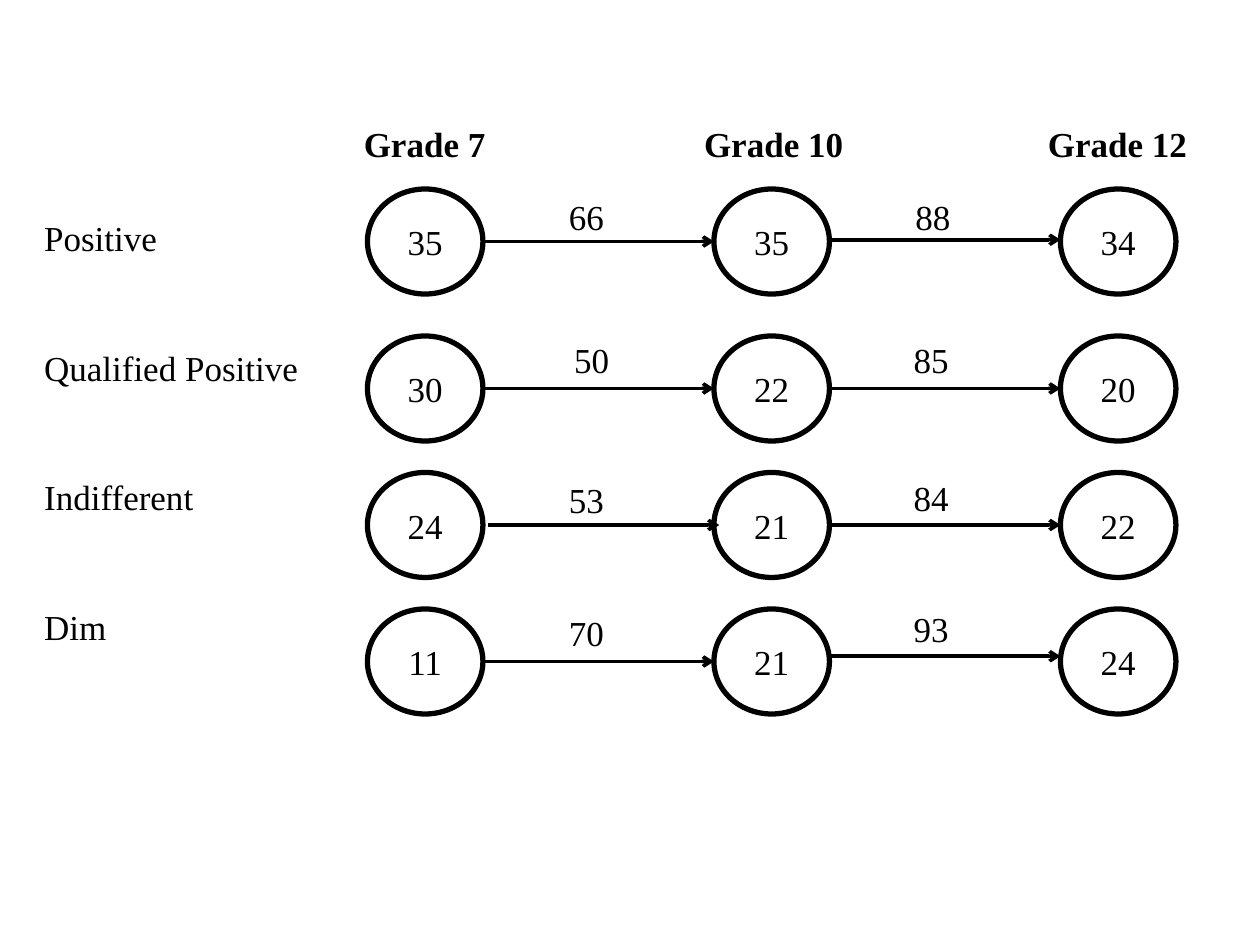
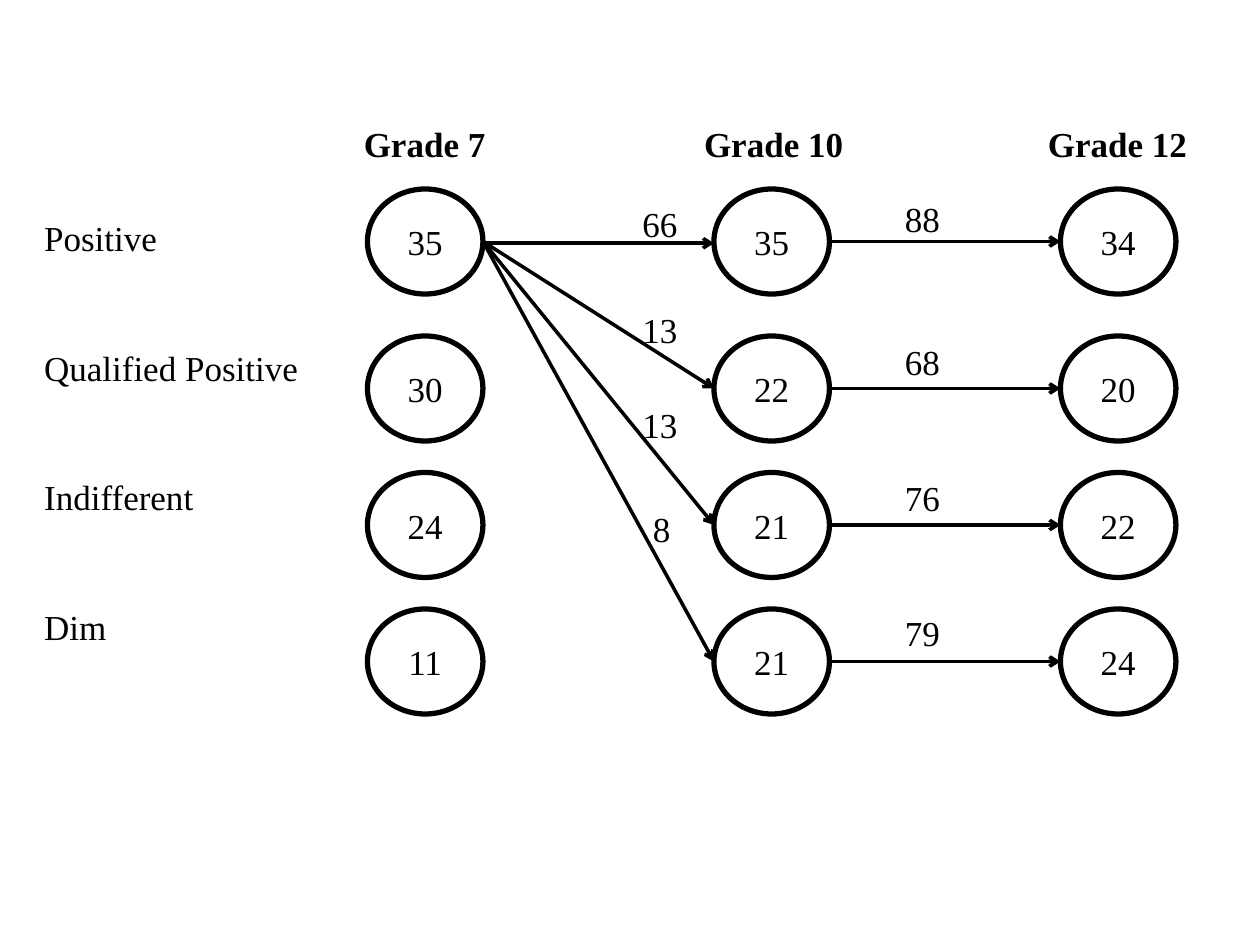
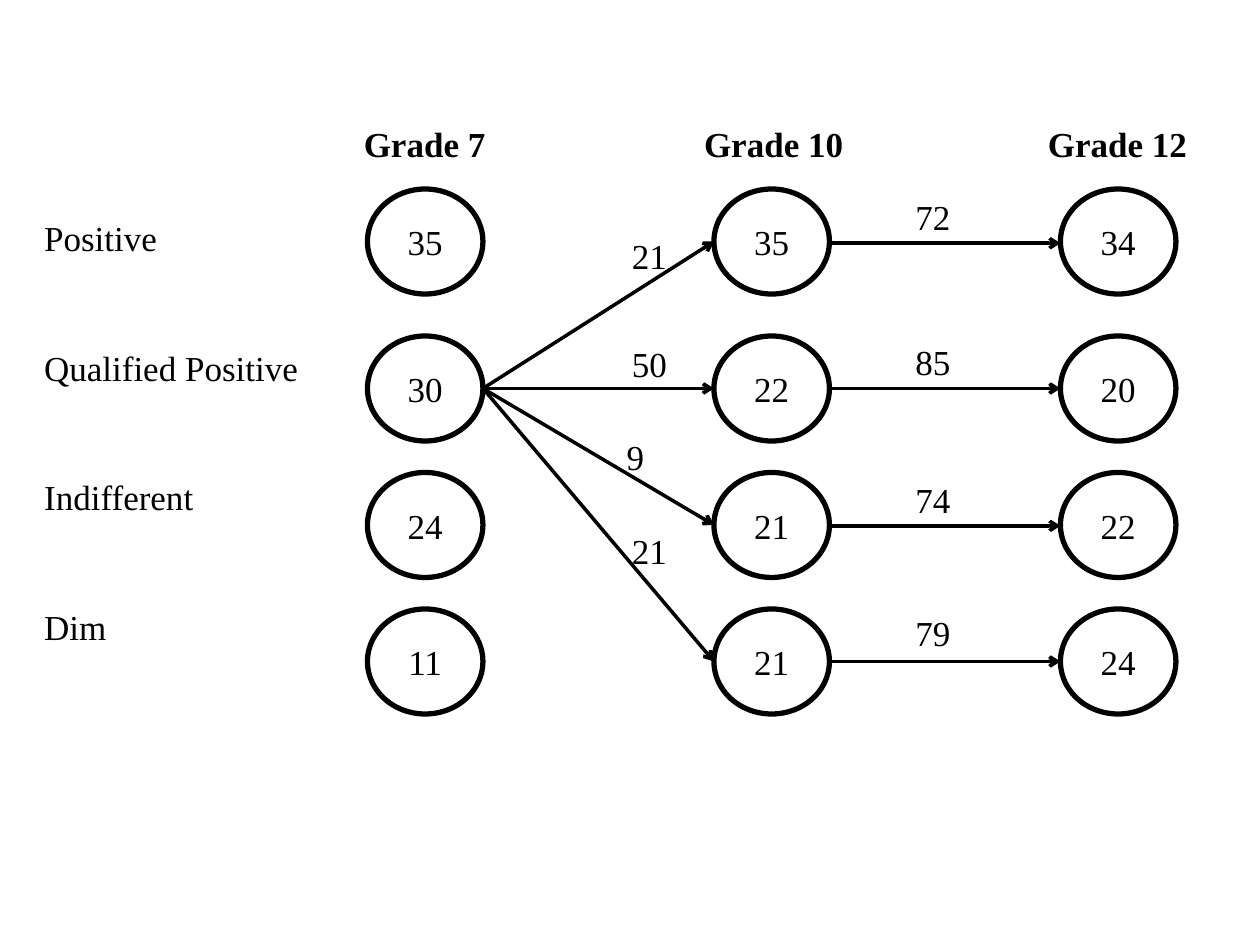
from lxml import etree
from pptx import Presentation
from pptx.dml.color import RGBColor
from pptx.enum import shapes, text
from pptx.oxml import ns
from pptx.util import Pt

INK = "000000"
FONT, FONT_SIZE = "Times New Roman", 20

GRADES = {1: "Grade 7", 3: "Grade 10", 5: "Grade 12"}  # table column: heading
ATTITUDES = ["Positive", "Qualified Positive", "Indifferent", "Dim"]
SHARES = [(35, 30, 24, 11), (35, 22, 21, 21), (34, 20, 22, 24)]  # by grade

# One slide each: (grade, from row, to row, percent, label left, label top, arrow dx, arrow dy)
SLIDES = [
    [
        (0, 0, 0, 66, 318, 108, 0, 0),
        (0, 1, 1, 50, 321, 190, 0, 0),
        (0, 2, 2, 53, 318, 270, 3, 0),
        (0, 3, 3, 70, 318, 346, 0, 0),
        (1, 0, 0, 88, 516, 108, 0, -1),
        (1, 1, 1, 85, 515, 190, 0, 0),
        (1, 2, 2, 84, 515, 268.5, 0, 0),
        (1, 3, 3, 93, 515, 343.5, 0, -3),
    ],
    [
        (0, 0, 0, 66, 360, 112, 0, 1),
        (0, 0, 1, 13, 360, 173, 0, 0),
        (0, 0, 2, 13, 360, 227, 0, 0),
        (0, 0, 3, 8, 366, 286.5, 0, 0),
        (1, 0, 0, 88, 510, 109.5, 0, 0),
        (1, 1, 1, 68, 510, 191, 0, 0),
        (1, 2, 2, 76, 510, 268.5, 0, 0),
        (1, 3, 3, 79, 510, 346, 0, 0),
    ],
    [
        (0, 1, 0, 21, 354, 130.5, 0, 0),
        (0, 1, 1, 50, 354, 192, 0, 0),
        (0, 1, 2, 9, 351, 245.5, 0, 0),
        (0, 1, 3, 21, 354, 299, 0, 0),
        (1, 0, 0, 72, 516, 108, 0, 1),
        (1, 1, 1, 85, 516, 191, 0, 0),
        (1, 2, 2, 74, 516, 270, 0, 0.5),
        (1, 3, 3, 79, 516, 346, 0, 0),
    ],
]

TABLE_LEFT, TABLE_TOP = 18, 68.4
COLUMN_WIDTHS = [176.4, 96.5, 96.5, 109.4, 72.7, 138.2]
HEADING_HEIGHT, ROW_HEIGHT = 30, 74
ATTITUDE_INSET = 27.5
CIRCLE_LEFT, CIRCLE_PITCH = 210, 198
CIRCLE_TOPS = [108, 192, 270, 348]
CIRCLE_WIDTH, CIRCLE_HEIGHT = 66, 60
LABEL_WIDTH, LABEL_HEIGHT = 42, 31.5


def color(hex_value):
    return RGBColor.from_string(hex_value)


def write(frame, content, bold=False, align=text.PP_ALIGN.LEFT):
    paragraph = frame.paragraphs[0]
    paragraph.alignment = align
    run = paragraph.add_run()
    run.text = str(content)
    run.font.name = FONT
    run.font.size = Pt(FONT_SIZE)
    run.font.bold = bold
    run.font.color.rgb = color(INK)


def set_line(line, width):
    line.color.rgb = color(INK)
    line.width = Pt(width)


def add_grid(slide):
    height = HEADING_HEIGHT + ROW_HEIGHT * len(ATTITUDES)
    table = slide.shapes.add_table(
        len(ATTITUDES) + 1, len(COLUMN_WIDTHS), Pt(TABLE_LEFT), Pt(TABLE_TOP),
        Pt(sum(COLUMN_WIDTHS)), Pt(height)).table
    table.first_row = table.horz_banding = False
    for column, width in zip(table.columns, COLUMN_WIDTHS):
        column.width = Pt(width)
    for index, row in enumerate(table.rows):
        row.height = Pt(ROW_HEIGHT if index else HEADING_HEIGHT)
    for cell in table.iter_cells():
        cell.fill.background()
    for column, grade in GRADES.items():
        write(table.cell(0, column).text_frame, grade, True, text.PP_ALIGN.CENTER)
    for row, attitude in enumerate(ATTITUDES, 1):
        cell = table.cell(row, 0)
        cell.margin_top = Pt(ATTITUDE_INSET)
        write(cell.text_frame, attitude)


def add_circle(slide, grade, row):
    circle = slide.shapes.add_shape(
        shapes.MSO_SHAPE.OVAL, Pt(CIRCLE_LEFT + grade * CIRCLE_PITCH),
        Pt(CIRCLE_TOPS[row]), Pt(CIRCLE_WIDTH), Pt(CIRCLE_HEIGHT))
    circle.shadow.inherit = False
    circle.fill.background()
    set_line(circle.line, 3)
    circle.text_frame.vertical_anchor = text.MSO_ANCHOR.MIDDLE
    circle.text_frame.word_wrap = False
    write(circle.text_frame, SHARES[grade][row], align=text.PP_ALIGN.CENTER)


def add_arrow(slide, grade, start_row, end_row, dx, dy):
    """Draw from a circle's right side to the left side of one in the next grade."""
    start_x = CIRCLE_LEFT + grade * CIRCLE_PITCH + CIRCLE_WIDTH + dx
    end_x = start_x + CIRCLE_PITCH - CIRCLE_WIDTH
    start_y, end_y = (CIRCLE_TOPS[row] + CIRCLE_HEIGHT / 2 + dy
                      for row in (start_row, end_row))
    arrow = slide.shapes.add_connector(
        shapes.MSO_CONNECTOR.STRAIGHT, Pt(start_x), Pt(start_y), Pt(end_x), Pt(end_y))
    set_line(arrow.line, 2)
    properties = arrow.element.spPr
    etree.SubElement(properties.find(ns.qn("a:ln")), ns.qn("a:tailEnd"), type="arrow")
    etree.SubElement(properties, ns.qn("a:effectLst"))


def add_label(slide, percent, left, top):
    label = slide.shapes.add_textbox(Pt(left), Pt(top), Pt(LABEL_WIDTH), Pt(LABEL_HEIGHT))
    label.text_frame.word_wrap = True
    label.text_frame.auto_size = text.MSO_AUTO_SIZE.SHAPE_TO_FIT_TEXT
    write(label.text_frame, percent)


def main():
    presentation = Presentation()
    presentation.slide_width, presentation.slide_height = Pt(720), Pt(540)
    for flows in SLIDES:
        slide = presentation.slides.add_slide(presentation.slide_layouts[6])
        add_grid(slide)
        for grade, shares in enumerate(SHARES):
            for row in range(len(shares)):
                add_circle(slide, grade, row)
        for grade, start_row, end_row, percent, left, top, dx, dy in flows:
            add_arrow(slide, grade, start_row, end_row, dx, dy)
            add_label(slide, percent, left, top)
    presentation.save("out.pptx")


if __name__ == "__main__":
    main()
